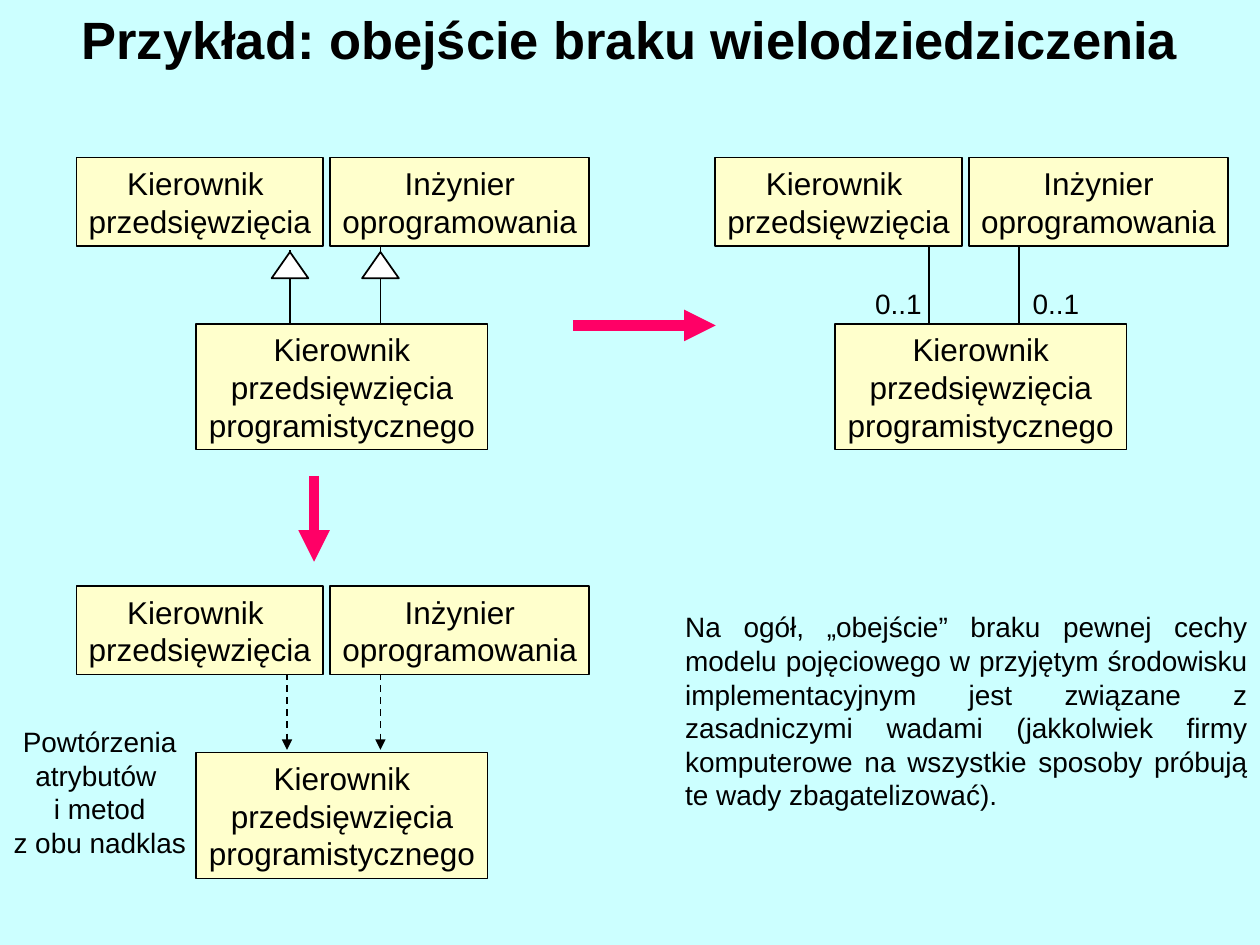
from lxml import etree
from pptx import Presentation
from pptx.dml.color import RGBColor
from pptx.enum.dml import MSO_LINE
from pptx.enum.shapes import MSO_CONNECTOR, MSO_SHAPE
from pptx.enum.text import MSO_ANCHOR, PP_ALIGN
from pptx.oxml.ns import qn
from pptx.util import Pt

STRAIGHT = MSO_CONNECTOR.STRAIGHT
RECT, TRIANGLE = MSO_SHAPE.RECTANGLE, MSO_SHAPE.ISOSCELES_TRIANGLE
LEFT, CENTER, JUSTIFY = PP_ALIGN.LEFT, PP_ALIGN.CENTER, PP_ALIGN.JUSTIFY
MIDDLE, DASH = MSO_ANCHOR.MIDDLE, MSO_LINE.DASH
rgb = RGBColor.from_string
BLACK, CREAM, WHITE, PINK = "000000", "FFFFCC", "FFFFFF", "FF0066"


def write(s, lines, size, align, wrap=False, bold=False):
    tf = s.text_frame
    tf.word_wrap = wrap
    for i, line in enumerate(lines):
        p = tf.paragraphs[0] if i == 0 else tf.add_paragraph()
        p.alignment = align
        r = p.add_run()
        r.text = line
        r.font.name, r.font.size, r.font.bold = "Arial", Pt(size), bold
        r.font.color.rgb = rgb(BLACK)


def connect(x1, y1, x2, y2, color=BLACK, width=1, dash=None, arrow=False):
    c = s.shapes.add_connector(STRAIGHT, Pt(x1), Pt(y1), Pt(x2), Pt(y2))
    c.line.color.rgb = rgb(color)
    c.line.width = Pt(width)
    if dash:
        c.line.dash_style = dash
    if arrow:
        etree.SubElement(c.line._get_or_add_ln(), qn("a:tailEnd"), type="triangle")
    etree.SubElement(c._element.spPr, qn("a:effectLst"))


prs = Presentation()
prs.slide_width, prs.slide_height = Pt(720), Pt(540)
s = prs.slides.add_slide(prs.slide_layouts[5])
s.background.fill.solid()
s.background.fill.fore_color.rgb = rgb("CCFFFF")

# Title
title = s.shapes.title
title.left, title.top, title.width, title.height = Pt(36), Pt(5.5), Pt(648), Pt(32.5)
tf = title.text_frame
tf.margin_left = tf.margin_right = tf.margin_top = tf.margin_bottom = 0
tf.vertical_anchor = MIDDLE
write(title, ["Przykład: obejście braku wielodziedziczenia"], 30, CENTER, bold=True)

# Lines between the classes: inheritance, association, copying
for x in (165.7, 217.4):
    connect(x, 185, x, 143 if x < 200 else 138)
    sp = s.shapes.add_shape(TRIANGLE, Pt(x - 10.5), Pt(144), Pt(21), Pt(15))
    sp.shadow.inherit = False
    sp.fill.solid()
    sp.fill.fore_color.rgb = rgb(WHITE)
    sp.line.color.rgb = rgb(BLACK)
    sp.line.width = Pt(1)
for x in (530.7, 582.4):
    connect(x, 138, x, 190)
for x in (164, 217.4):
    connect(x, 384.5, x, 428.5, dash=DASH, arrow=True)

# Class boxes, the same three in each diagram: offset, size, text
classes = [
    (0, 0, 141, 50.5, ["Kierownik ", "przedsięwzięcia"]),
    (145, 0, 148, 50.5, ["Inżynier", "oprogramowania"]),
    (68.5, 95, 166.5, 72, ["Kierownik", "przedsięwzięcia", "programistycznego"]),
]
for left, top in [(43.7, 90), (408.7, 90), (43.7, 335)]:
    for dx, dy, w, h, lines in classes:
        sp = s.shapes.add_shape(RECT, Pt(left + dx), Pt(top + dy), Pt(w), Pt(h))
        sp.shadow.inherit = False
        sp.fill.solid()
        sp.fill.fore_color.rgb = rgb(CREAM)
        sp.line.color.rgb = rgb(BLACK)
        sp.line.width = Pt(1)
        sp.text_frame.vertical_anchor = MIDDLE
        write(sp, lines, 18, CENTER)

# Arrows from the first diagram to the two workarounds
connect(327.3, 186, 409, 186, PINK, 6, arrow=True)
connect(179.5, 272, 179.5, 321, PINK, 6, arrow=True)

# Multiplicities and comments
remark = ("Na ogół, „obejście” braku pewnej cechy modelu pojęciowego w przyjętym "
          "środowisku implementacyjnym jest związane z zasadniczymi wadami "
          "(jakkolwiek firmy komputerowe na wszystkie sposoby próbują te wady "
          "zbagatelizować).")
copied = ["Powtórzenia", "atrybutów ", "i metod", "z obu nadklas"]
for x, y, w, h, lines, align, wrap in [
    (493, 160, 41, 26.5, ["0..1"], LEFT, False),
    (583, 160, 41, 26.5, ["0..1"], LEFT, False),
    (0.5, 410.5, 113, 84, copied, CENTER, False),
    (384.5, 345, 335.5, 122.5, [remark], JUSTIFY, True),
]:
    box = s.shapes.add_textbox(Pt(x), Pt(y), Pt(w), Pt(h))
    write(box, lines, 16, align, wrap)

prs.save("out.pptx")
